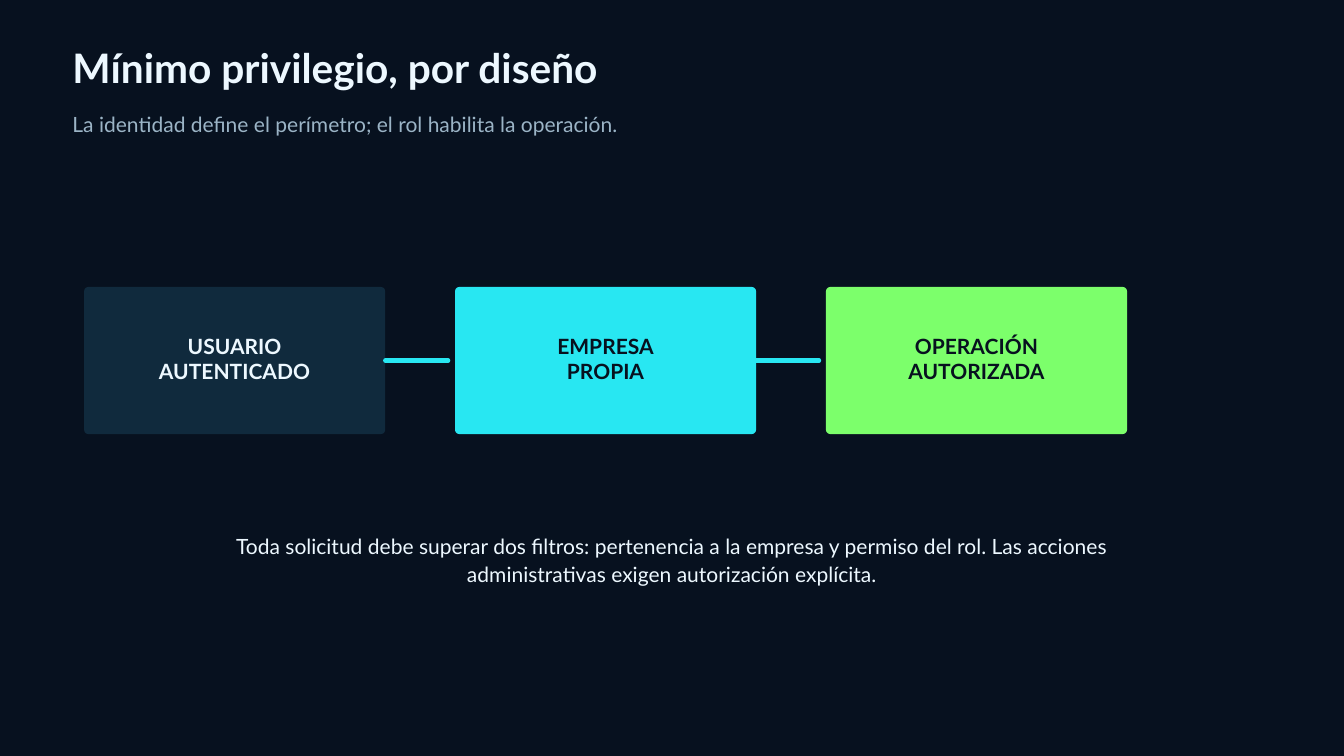
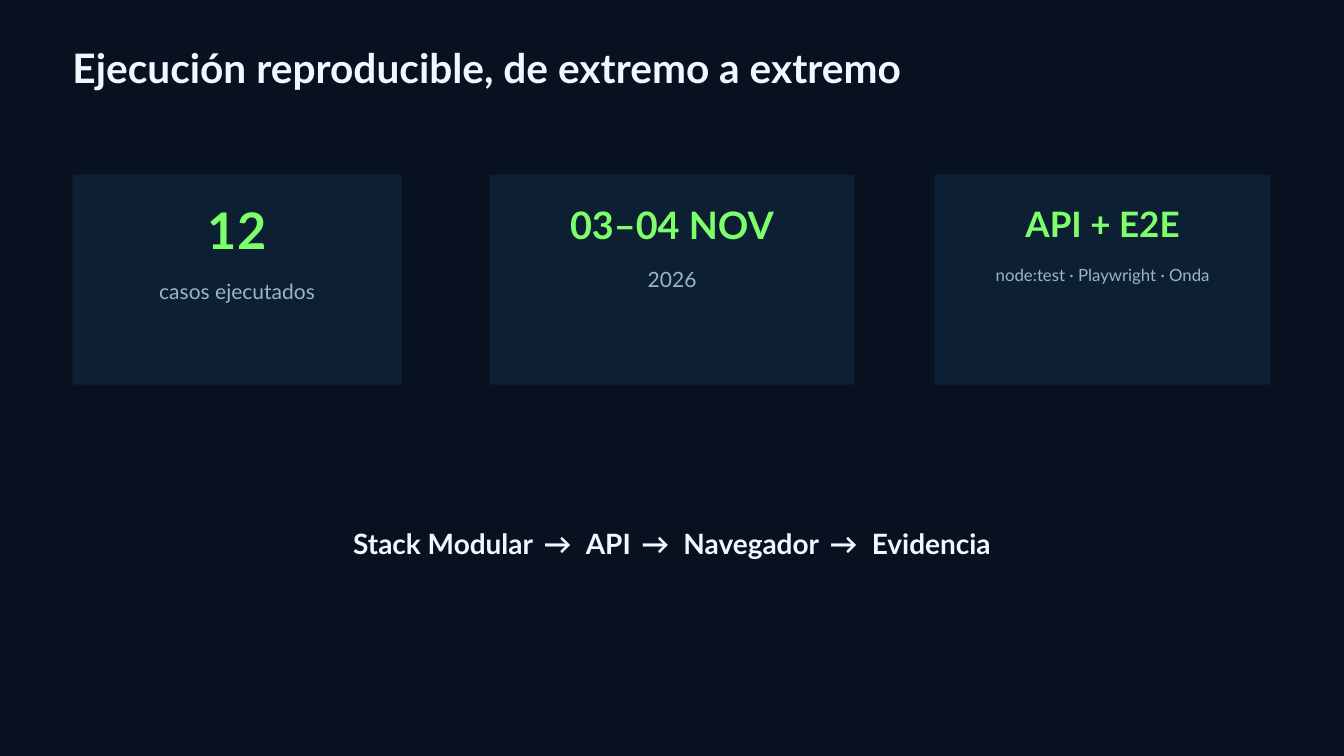
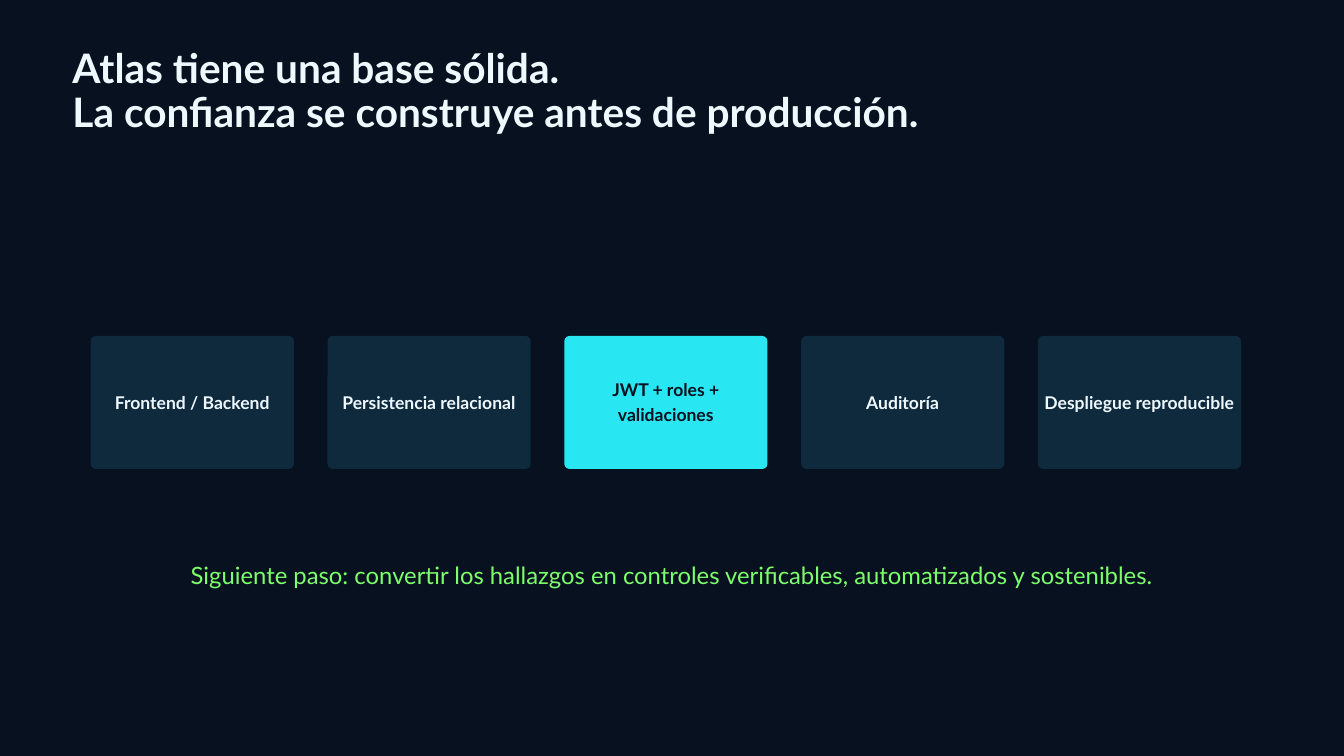
from lxml import etree
from pptx import Presentation
from pptx import util as u
from pptx.dml import color
from pptx.enum import shapes, text
from pptx.oxml import ns

WIDE, HIGH = 50.8, 28.58
EDGE = 2.74
FONT = "Lato"
NIGHT, SLATE, NAVY = "07111F", "102A3D", "0D2033"
ICE, MIST, CYAN, LIME = "EDF8FF", "9BB4C6", "28E7F2", "7CFF6B"
MID = text.PP_ALIGN.CENTER
LEFT = text.PP_ALIGN.LEFT


def paint(fill, tone):
    fill.solid()
    fill.fore_color.rgb = color.RGBColor.from_string(tone)


def style(frame, size, lead, tone, bold=False, align=MID):
    """Format every paragraph and run of a text frame."""
    for para in frame.paragraphs:
        para.alignment = align
        para.line_spacing = u.Pt(lead)
        for run in para.runs:
            run.font.name = FONT
            run.font.size = u.Pt(size)
            run.font.bold = bold
            paint(run.font.fill, tone)


def label(slide, words, box, *look, **more):
    frame = slide.shapes.add_textbox(*map(u.Cm, box)).text_frame
    frame.word_wrap = True
    frame.margin_left = frame.margin_right = 0
    frame.margin_top = frame.margin_bottom = 0
    frame.text = words
    style(frame, *look, **more)
    return frame


def block(slide, kind, box, tone):
    shape = slide.shapes.add_shape(kind, *map(u.Cm, box))
    shape.shadow.inherit = False
    paint(shape.fill, tone)
    shape.line.fill.background()
    return shape


def head(deck, title, sub=None):
    """Start a slide with its title and optional subtitle."""
    slide = deck.slides.add_slide(deck.slide_layouts[6])
    tall = 1.93 if "\n" not in title else 3.58
    label(slide, title, (EDGE, 1.8, 39.68, tall), 43.5, 47, ICE,
          bold=True, align=LEFT)
    if sub:
        label(slide, sub, (EDGE, 4.11, 39.68, 1.02), 22.5, 30.4, MIST,
              align=LEFT)
    return slide


def foot(slide, words, top, wide, tall, *look, **more):
    """Closing statement, centred on the slide."""
    box = ((WIDE - wide) / 2, top, wide, tall)
    return label(slide, words, box, *look, **more)


def row(slide, items, box, pitch, curve, size, lead):
    """Equally spaced rounded tiles; box is the first tile."""
    left, top, wide, tall = box
    tiles = []
    for i, (words, tone) in enumerate(items):
        tile = block(slide, shapes.MSO_SHAPE.ROUNDED_RECTANGLE,
                     (left + i * pitch, top, wide, tall), tone)
        tile.adjustments[0] = curve / tall
        frame = tile.text_frame
        frame.word_wrap = True
        frame.vertical_anchor = text.MSO_ANCHOR.MIDDLE
        frame.margin_left = frame.margin_right = u.Cm(0.15)
        frame.margin_top, frame.margin_bottom = 0, u.Cm(0.15)
        frame.text = words
        style(frame, size, lead, ICE if tone == SLATE else NIGHT, bold=True)
        tiles.append(tile)
    return tiles


def link(slide, tile, reach):
    """Round-ended line leaving the right side of a tile."""
    x, y = tile.left + tile.width, tile.top + tile.height // 2
    line = slide.shapes.add_connector(
        shapes.MSO_CONNECTOR.STRAIGHT, x, y, x + u.Cm(reach), y)
    line.begin_connect(tile, 3)
    paint(line.line.fill, CYAN)
    line.line.width = u.Pt(4.5)
    line.line._get_or_add_ln().set("cap", "rnd")
    etree.SubElement(line._element.spPr, ns.qn("a:effectLst"))


def card(slide, box, fact, size, note, small, drop):
    """Panel with a large fact; the note sits drop below the fact's top."""
    left, top, wide, tall = box
    block(slide, shapes.MSO_SHAPE.RECTANGLE, box, NAVY)
    x, y, span = left + 0.67, top + 1.32, wide - 1.34
    label(slide, fact, (x, y, span, drop - 0.3), size, size, LIME, bold=True)
    label(slide, note, (x, y + drop, span, 1), small, small * 1.35, MIST)


def chain(slide, stages, top):
    """Stages in one line, with wider set arrows between them."""
    frame = foot(slide, "", top, 38.63, 1.35, 30, 32.4, ICE)
    para = frame.paragraphs[0]
    for i, stage in enumerate(stages):
        if i:
            arrow = para.add_run()
            arrow.text = " → "
            arrow.font._element.set("spc", "390")
        para.add_run().text = stage
    style(frame, 30, 32.4, ICE, bold=True)


def access(deck):
    slide = head(deck, "Mínimo privilegio, por diseño",
                 "La identidad define el perímetro; el rol habilita la operación.")
    steps = [("USUARIO\nAUTENTICADO", SLATE), ("EMPRESA\nPROPIA", CYAN),
             ("OPERACIÓN\nAUTORIZADA", LIME)]
    tiles = row(slide, steps, (3.18, 10.85, 11.38, 5.56), 14.02, 0.16, 22.5, 27)
    for tile in tiles[:-1]:
        link(slide, tile, 2.38)
    foot(slide, "Toda solicitud debe superar dos filtros: pertenencia a la empresa "
         "y permiso del rol. Las acciones administrativas exigen autorización "
         "explícita.", 20.04, 37.57, 2.08, 22.5, 30.4, ICE)


def runs(deck):
    slide = head(deck, "Ejecución reproducible, de extremo a extremo")
    cards = [
        (EDGE, 12.45, "12", 54, "casos ejecutados", 22.5, 2.51),
        (18.52, 13.77, "03–04 NOV", 40.5, "2026", 22.5, 2.03),
        (35.33, 12.7, "API + E2E", 37.5, "node:test · Playwright · Onda", 18, 2.01),
    ]
    for left, wide, *facts in cards:
        card(slide, (left, 6.6, wide, 7.94), *facts)
    chain(slide, ["Stack Modular", "API", "Navegador", "Evidencia"], 20.04)


def close(deck):
    slide = head(deck, "Atlas tiene una base sólida.\n"
                 "La confianza se construye antes de producción.")
    parts = [("Frontend / Backend", SLATE), ("Persistencia relacional", SLATE),
             ("JWT + roles + validaciones", CYAN), ("Auditoría", SLATE),
             ("Despliegue reproducible", SLATE)]
    row(slide, parts, (3.43, 12.7, 7.68, 5.03), 8.95, 0.2, 18.8, 26.2)
    foot(slide, "Siguiente paso: convertir los hallazgos en controles verificables, "
         "automatizados y sostenibles.", 21.08, 37.03, 2.34, 25.5, 34.4, LIME)


def main():
    deck = Presentation()
    deck.slide_width, deck.slide_height = u.Cm(WIDE), u.Cm(HIGH)
    paint(deck.slide_master.background.fill, NIGHT)
    for build in (access, runs, close):
        build(deck)
    deck.save("out.pptx")


if __name__ == "__main__":
    main()
